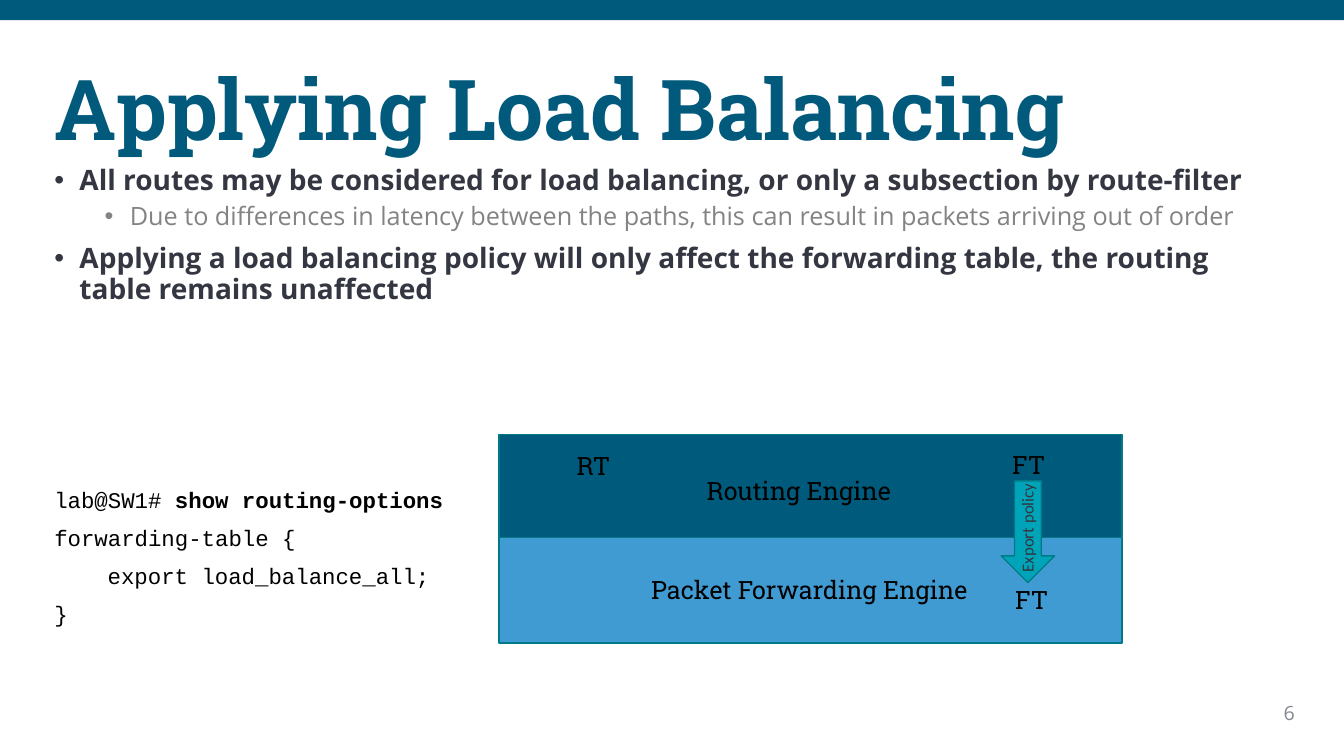
from lxml.etree import SubElement
from pptx import Presentation
from pptx.dml.color import RGBColor
from pptx.enum.shapes import MSO_SHAPE
from pptx.enum.text import MSO_ANCHOR, MSO_AUTO_SIZE, PP_ALIGN
from pptx.oxml.ns import qn
from pptx.util import Inches, Pt

COLORS = {
    "navy": "005A7C", "title": "015A7C", "blue": "419BD3", "teal": "00A4B8",
    "outline": "007988", "ink": "343741", "arrow_text": "333641",
    "gray": "838383", "number": "858891", "black": "000000",
}


def color(name):
    return RGBColor.from_string(COLORS[name])


def style(r, font, size, name, bold=False):
    r.font.name, r.font.size, r.font.bold = font, Pt(size), bold
    r.font.color.rgb = color(name)


def space(p, before):
    p.line_spacing = 0.9
    p.space_before = Pt(before)


def indent(p, left, hanging=0):
    pPr = p._p.get_or_add_pPr()
    pPr.set("marL", str(Inches(left)))
    pPr.set("indent", str(-Inches(hanging)))
    return pPr


def add_box(s, x, y, w, h, fill, shape=MSO_SHAPE.RECTANGLE, line=None):
    sp = s.shapes.add_shape(shape, Inches(x), Inches(y), Inches(w), Inches(h))
    sp.shadow.inherit = False
    sp.fill.solid()
    sp.fill.fore_color.rgb = color(fill)
    if line:
        sp.line.color.rgb = color(line)
        sp.line.width = Pt(1)
    else:
        sp.line.fill.background()
    return sp


def add_text_frame(s, x, y, w, h, wrap=True):
    sp = s.shapes.add_textbox(Inches(x), Inches(y), Inches(w), Inches(h))
    sp.text_frame.word_wrap = wrap
    return sp, sp.text_frame


def add_label(s, x, y, w, h, text, font="Roboto Slab", size=18, name="black"):
    """Add a one-line label that fits its text."""
    sp, tf = add_text_frame(s, x, y, w, h, wrap=False)
    tf.auto_size = MSO_AUTO_SIZE.SHAPE_TO_FIT_TEXT
    tf.text = text
    style(tf.paragraphs[0].runs[0], font, size, name)
    return sp


def add_title(s, x, y, w, h):
    sp = s.shapes.title
    sp.left, sp.top, sp.width, sp.height = map(Inches, (x, y, w, h))
    tf = sp.text_frame
    tf.text = "Applying Load Balancing"
    tf.auto_size = MSO_AUTO_SIZE.NONE
    tf.vertical_anchor = MSO_ANCHOR.MIDDLE
    p = tf.paragraphs[0]
    p.alignment = PP_ALIGN.LEFT
    space(p, 0)
    style(p.runs[0], "Roboto Slab", 60, "title", bold=True)


def add_bullets(s, x, y, w, h):
    points = [
        (0, "All routes may be considered for load balancing, or only a subsection by route-filter"),
        (1, "Due to differences in latency between the paths, this can result in packets arriving out of order"),
        (0, "Applying a load balancing policy will only affect the forwarding table, "
            "the routing table remains unaffected"),
    ]
    levels = [(20, "ink", True, 10), (18, "gray", False, 5)]
    tf = add_text_frame(s, x, y, w, h)[1]
    for i, (level, text) in enumerate(points):
        p = tf.add_paragraph() if i else tf.paragraphs[0]
        size, name, bold, before = levels[level]
        p.text, p.level = text, level
        space(p, before)
        style(p.runs[0], "Open Sans", size, name, bold)
        pPr = indent(p, 0.25 + 0.5 * level, 0.25)
        SubElement(pPr, qn("a:buFont"), typeface="Arial")
        SubElement(pPr, qn("a:buChar"), char="•")


def add_config(s, x, y, w, h):
    """Add the router configuration listing."""
    lines = [
        (0, ["lab@SW1# ", "show routing-options"]),
        (0, ["forwarding-table {"]),
        (0.53, ["export load_balance_all;"]),
        (0, ["}"]),
    ]
    tf = add_text_frame(s, x, y, w, h)[1]
    for i, (left, parts) in enumerate(lines):
        p = tf.add_paragraph() if i else tf.paragraphs[0]
        space(p, 10)
        indent(p, left)
        for j, part in enumerate(parts):
            r = p.add_run()
            r.text = part
            style(r, "Courier New", 16, "black", bold=j == 1)


def add_engines(s, x, y, w, h):
    """Add the two engines and the policy arrow between their tables."""
    split = 1.02
    add_box(s, x, y, w, split, "navy", line="outline")
    add_box(s, x, y + split, w, h - split, "blue", line="outline")
    for dx, dy, width, text in [
        (0.67, 0.11, 0.55, "RT"),
        (4.99, 0.1, 0.53, "FT"),
        (5.02, 1.44, 0.53, "FT"),
        (1.96, 0.36, 2.05, "Routing Engine"),
        (1.41, 1.34, 3.37, "Packet Forwarding Engine"),
    ]:
        add_label(s, x + dx, y + dy, width, 0.4, text)
    add_box(s, x + 4.98, y + 0.46, 0.53, 1.01, "teal", MSO_SHAPE.DOWN_ARROW, "outline")
    policy = add_label(s, x + 4.69, y + 0.77, 1.09, 0.3, "Export policy", "Calibri", 12, "arrow_text")
    policy.rotation = 270


def add_slide_number(s, x, y, w, h):
    tf = add_text_frame(s, x, y, w, h)[1]
    tf.text = "6"
    p = tf.paragraphs[0]
    p.alignment = PP_ALIGN.RIGHT
    style(p.runs[0], "Open Sans", 14, "number")


def main():
    prs = Presentation()
    prs.slide_width, prs.slide_height = Inches(13.33), Inches(7.5)
    s = prs.slides.add_slide(prs.slide_layouts[5])
    add_box(s, 0, 0, 13.33, 0.2, "navy")
    add_slide_number(s, 12.3, 6.9, 0.64, 0.34)
    add_title(s, 0.44, 0.4, 12.73, 1.45)
    add_config(s, 0.44, 4.8, 5.1, 1.58)
    add_bullets(s, 0.44, 1.6, 12.36, 2.15)
    add_engines(s, 4.95, 4.31, 6.18, 2.07)
    prs.save("out.pptx")


if __name__ == "__main__":
    main()
